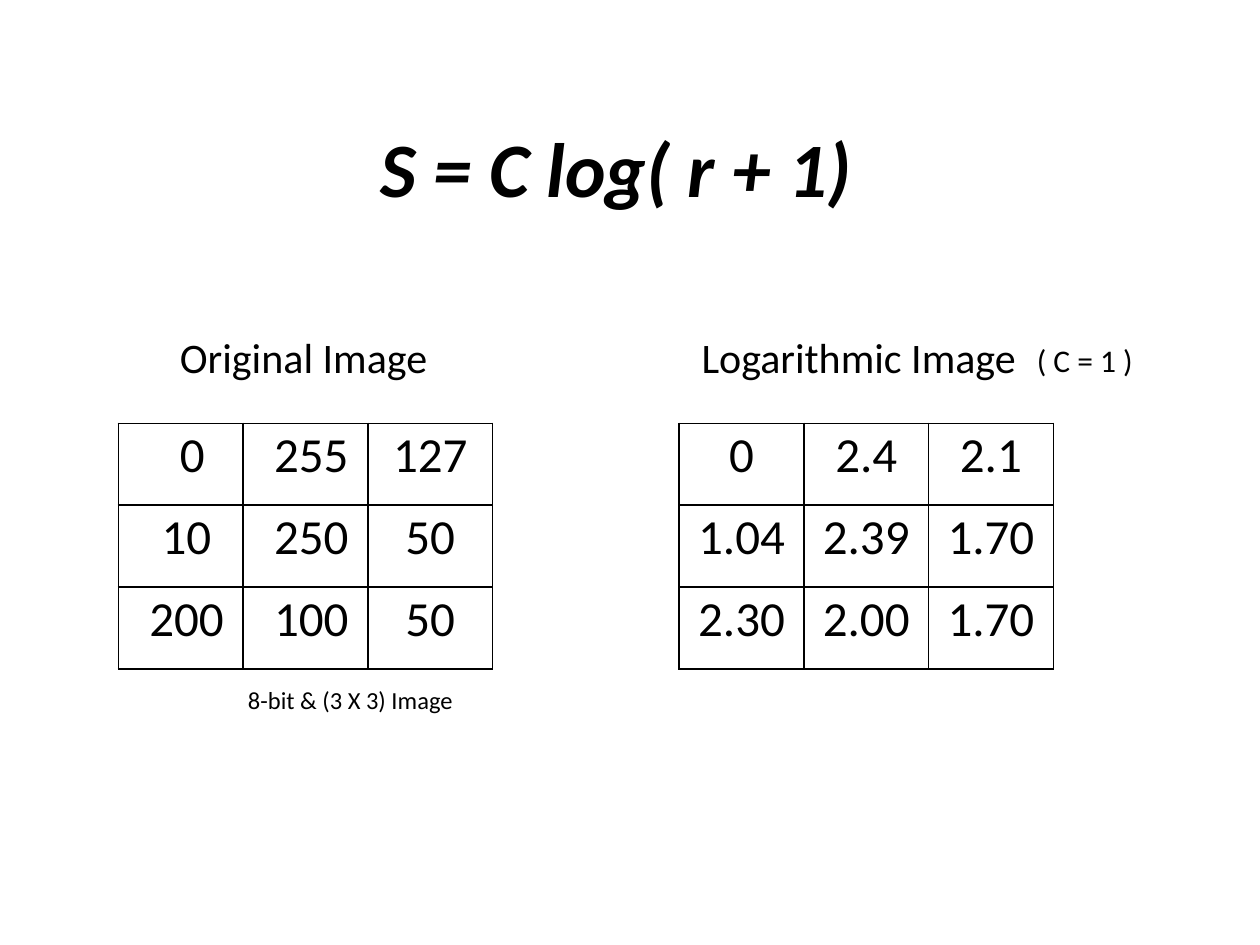
from dataclasses import dataclass

from lxml import etree
from pptx import Presentation
from pptx.dml.color import RGBColor
from pptx.enum.text import MSO_ANCHOR, MSO_AUTO_SIZE, PP_ALIGN
from pptx.oxml.ns import qn
from pptx.slide import Slide
from pptx.table import _Cell
from pptx.text.text import _Paragraph
from pptx.util import Inches, Pt

CENTER, LEFT = PP_ALIGN.CENTER, PP_ALIGN.LEFT
MIDDLE, TOP = MSO_ANCHOR.MIDDLE, MSO_ANCHOR.TOP
FIT_SHAPE, NO_FIT = MSO_AUTO_SIZE.SHAPE_TO_FIT_TEXT, MSO_AUTO_SIZE.NONE
FONT, BLACK, WHITE = "Calibri", "000000", "FFFFFF"
SLIDE_WIDTH, SLIDE_HEIGHT = Inches(10), Inches(7.5)
CELL_WIDTH, CELL_HEIGHT = 9.9, 8.67
MATRIX_TOP = 44.8
SIDE_MARGIN, END_MARGIN, NUDGE = 0.04, 0.02, 0.09


@dataclass
class Label:
    """A line of text placed in percent of the slide."""

    text: str
    left: float
    top: float
    width: float
    height: float
    size: int
    wrap: bool = False
    title: bool = False


@dataclass
class Matrix:
    """A grid of pixel values, with the nudges that push some to the right."""

    left: float
    rows: list[list[str]]
    nudges: list[list[int]]


LABELS = [
    Label("S = C log( r + 1)", 3.9, 9.33, 90, 16.67, 44, wrap=True, title=True),
    Label("Original Image", 13.3, 34.4, 21.8, 6.67, 24),
    Label("Logarithmic Image", 54.7, 34.4, 27.2, 6.67, 24),
    Label("( C = 1 )", 81.3, 35.47, 9.8, 5.33, 18),
    Label("8-bit & (3 X 3) Image", 18.7, 71.87, 20.3, 4.53, 14, wrap=True),
]
MATRICES = [
    Matrix(
        9.4,
        [["0", "255", "127"], ["10", "250", "50"], ["200", "100", "50"]],
        [[2, 1, 0], [1, 1, 0], [1, 1, 0]],
    ),
    Matrix(
        53.9,
        [["0", "2.4", "2.1"], ["1.04", "2.39", "1.70"], ["2.30", "2.00", "1.70"]],
        [[0, 0, 0]] * 3,
    ),
]


def across(percent: float) -> int:
    """Turn a percentage of the slide width into a length."""
    return round(SLIDE_WIDTH * percent / 100)


def down(percent: float) -> int:
    """Turn a percentage of the slide height into a length."""
    return round(SLIDE_HEIGHT * percent / 100)


def color(value: str) -> RGBColor:
    """Turn a hex string into a colour."""
    return RGBColor.from_string(value)


def write(paragraph: _Paragraph, text: str, size: int, alignment: PP_ALIGN) -> None:
    """Fill a paragraph with styled text."""
    paragraph.text = text
    paragraph.alignment = alignment
    paragraph.font.name = FONT
    paragraph.font.size = Pt(size)
    paragraph.font.color.rgb = color(BLACK)


def draw_label(slide: Slide, label: Label) -> None:
    """Add a text box for one label."""
    shape = slide.shapes.add_textbox(
        across(label.left), down(label.top), across(label.width), down(label.height)
    )
    frame = shape.text_frame
    frame.word_wrap = label.wrap
    frame.auto_size = NO_FIT if label.title else FIT_SHAPE
    frame.vertical_anchor = MIDDLE if label.title else TOP
    paragraph = frame.paragraphs[0]
    write(paragraph, label.text, label.size, CENTER if label.title else LEFT)
    paragraph.font.bold = paragraph.font.italic = label.title


def add_borders(cell: _Cell) -> None:
    """Put a thin black line on every side of a cell."""
    properties = cell._tc.get_or_add_tcPr()
    for position, side in enumerate(("a:lnL", "a:lnR", "a:lnT", "a:lnB")):
        line = etree.Element(qn(side), w=str(Pt(1)))
        fill = etree.SubElement(line, qn("a:solidFill"))
        etree.SubElement(fill, qn("a:srgbClr"), val=BLACK)
        properties.insert(position, line)


def draw_matrix(slide: Slide, matrix: Matrix) -> None:
    """Add a bordered table of pixel values."""
    row_count, column_count = len(matrix.rows), len(matrix.rows[0])
    table = slide.shapes.add_table(
        row_count,
        column_count,
        across(matrix.left),
        down(MATRIX_TOP),
        across(CELL_WIDTH * column_count),
        down(CELL_HEIGHT * row_count),
    ).table
    table.first_row = table.horz_banding = False
    for row, (values, nudges) in enumerate(zip(matrix.rows, matrix.nudges)):
        for column, (value, nudge) in enumerate(zip(values, nudges)):
            cell = table.cell(row, column)
            cell.fill.solid()
            cell.fill.fore_color.rgb = color(WHITE)
            cell.margin_left = Inches(SIDE_MARGIN + NUDGE * nudge)
            cell.margin_right = Inches(SIDE_MARGIN)
            cell.margin_top = cell.margin_bottom = Inches(END_MARGIN)
            write(cell.text_frame.paragraphs[0], value, 28, CENTER)
            add_borders(cell)


def main() -> None:
    """Build the slide and save it."""
    presentation = Presentation()
    presentation.slide_width, presentation.slide_height = SLIDE_WIDTH, SLIDE_HEIGHT
    slide = presentation.slides.add_slide(presentation.slide_layouts[6])
    for label in LABELS:
        draw_label(slide, label)
    for matrix in MATRICES:
        draw_matrix(slide, matrix)
    presentation.save("out.pptx")


if __name__ == "__main__":
    main()
